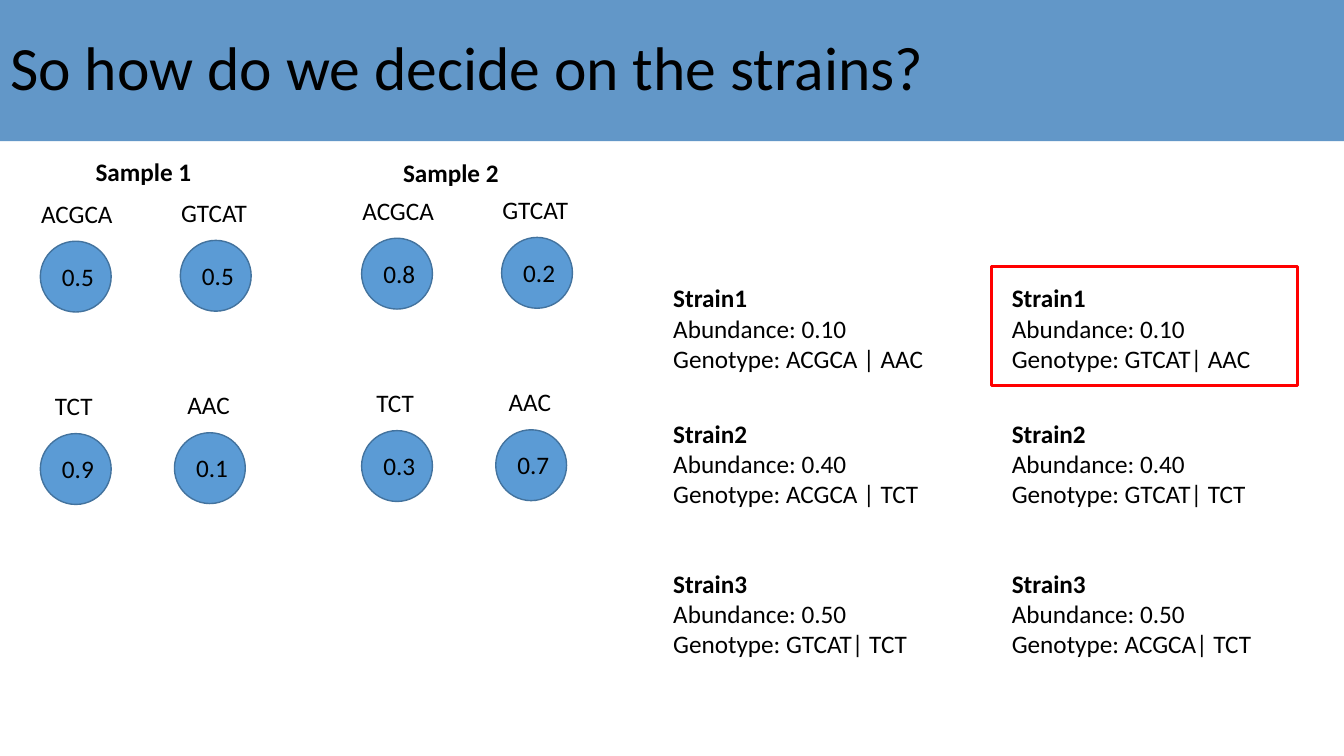
from lxml.etree import SubElement
from pptx import Presentation
from pptx.dml.color import RGBColor
from pptx.enum.shapes import MSO_SHAPE
from pptx.enum.text import MSO_ANCHOR, PP_ALIGN
from pptx.oxml.ns import qn
from pptx.util import Pt

# Content
TITLE = "So how do we decide on the strains?"
# name, heading position, top-left of the first circle, values by row
SAMPLES = [
    ("Sample 1", (61.2, 108), (28.8, 172.3), [("0.5", "0.5"), ("0.9", "0.1")]),
    ("Sample 2", (280.8, 108.7), (258.3, 170.2), [("0.8", "0.2"), ("0.3", "0.7")]),
]
# haplotypes, column step, label offsets from the circle, label width
ROWS = [
    (("ACGCA", "GTCAT"), 100, (-6.5, -6.5), 72),
    (("TCT", "AAC"), 95.8, (3.4, 2.2), 52),
]
ABUNDANCES = ["0.10", "0.40", "0.50"]
GENOTYPES = [
    ["ACGCA | AAC", "ACGCA | TCT", "GTCAT| TCT"],
    ["GTCAT| AAC", "GTCAT| TCT", "ACGCA| TCT"],
]

# Theme and layout
THEME = {
    "font": "Calibri", "title": 44, "body": 18,
    "text": RGBColor(0, 0, 0), "band": RGBColor(0x2E, 0x75, 0xB6),
    "circle": RGBColor(0x5B, 0x9B, 0xD5), "outline": RGBColor(0x43, 0x73, 0x9E),
    "highlight": RGBColor(0xFF, 0, 0),
}
CIRCLE = 50.6
ROW_STEP = 137.4
STRAIN_LEFTS = (473.8, 715.7)
STRAIN_TOPS = (198.4, 295.2, 402.2)

prs = Presentation()
prs.slide_width, prs.slide_height = Pt(960), Pt(540)
s = prs.slides.add_slide(prs.slide_layouts[5])


def style(p, size, bold=False):
    for r in p.runs:
        r.font.name, r.font.size, r.font.bold = THEME["font"], Pt(size), bold
        r.font.color.rgb = THEME["text"]


def add_text(lines, x, y, w, h=29, bold_first=False):
    tf = s.shapes.add_textbox(Pt(x), Pt(y), Pt(w), Pt(h)).text_frame
    tf.word_wrap = True
    tf.text = "\n".join(lines)
    for i, p in enumerate(tf.paragraphs):
        style(p, THEME["body"], bold_first and i == 0)


def add_outlined(kind, x, y, w, h, line, width, fill=None):
    sp = s.shapes.add_shape(kind, Pt(x), Pt(y), Pt(w), Pt(h))
    sp.shadow.inherit = False
    sp.line.color.rgb, sp.line.width = line, Pt(width)
    if fill is None:
        sp.fill.background()
    else:
        sp.fill.solid()
        sp.fill.fore_color.rgb = fill


# Title band
title = s.shapes.title
title.left, title.top, title.width, title.height = Pt(0), Pt(0), Pt(960), Pt(100.8)
title.fill.solid()
title.fill.fore_color.rgb = THEME["band"]
color = title.fill._xPr.find(".//" + qn("a:srgbClr"))
SubElement(color, qn("a:alpha"), val="75000")
title.text_frame.text = TITLE
title.text_frame.vertical_anchor = MSO_ANCHOR.MIDDLE
p = title.text_frame.paragraphs[0]
p.alignment, p.line_spacing = PP_ALIGN.LEFT, 0.9
style(p, THEME["title"])

# Strains
for left, genotypes in zip(STRAIN_LEFTS, GENOTYPES):
    for n, (top, abundance, genotype) in enumerate(
            zip(STRAIN_TOPS, ABUNDANCES, genotypes), 1):
        lines = [f"Strain{n}", f"Abundance: {abundance}", f"Genotype: {genotype}"]
        add_text(lines, left, top, 235, 72.7, bold_first=True)

# Samples with haplotype frequencies
for name, heading, (left, top), values in SAMPLES:
    add_text([name], *heading, 95, bold_first=True)
    for row, (haplotypes, step, offsets, width) in enumerate(ROWS):
        for col, haplotype in enumerate(haplotypes):
            x = left + col * step
            y = top + row * ROW_STEP - col * 0.6
            add_outlined(MSO_SHAPE.OVAL, x, y, CIRCLE, CIRCLE,
                         THEME["outline"], 1, THEME["circle"])
            add_text([values[row][col]], x + 8.4, y + 10.5, 42)
            add_text([haplotype], x + offsets[col], y - 34.3, width)

# Highlight around the alternative first strain
add_outlined(MSO_SHAPE.RECTANGLE, 708.3, 190.2, 218.4, 85, THEME["highlight"], 2)

prs.save("out.pptx")
